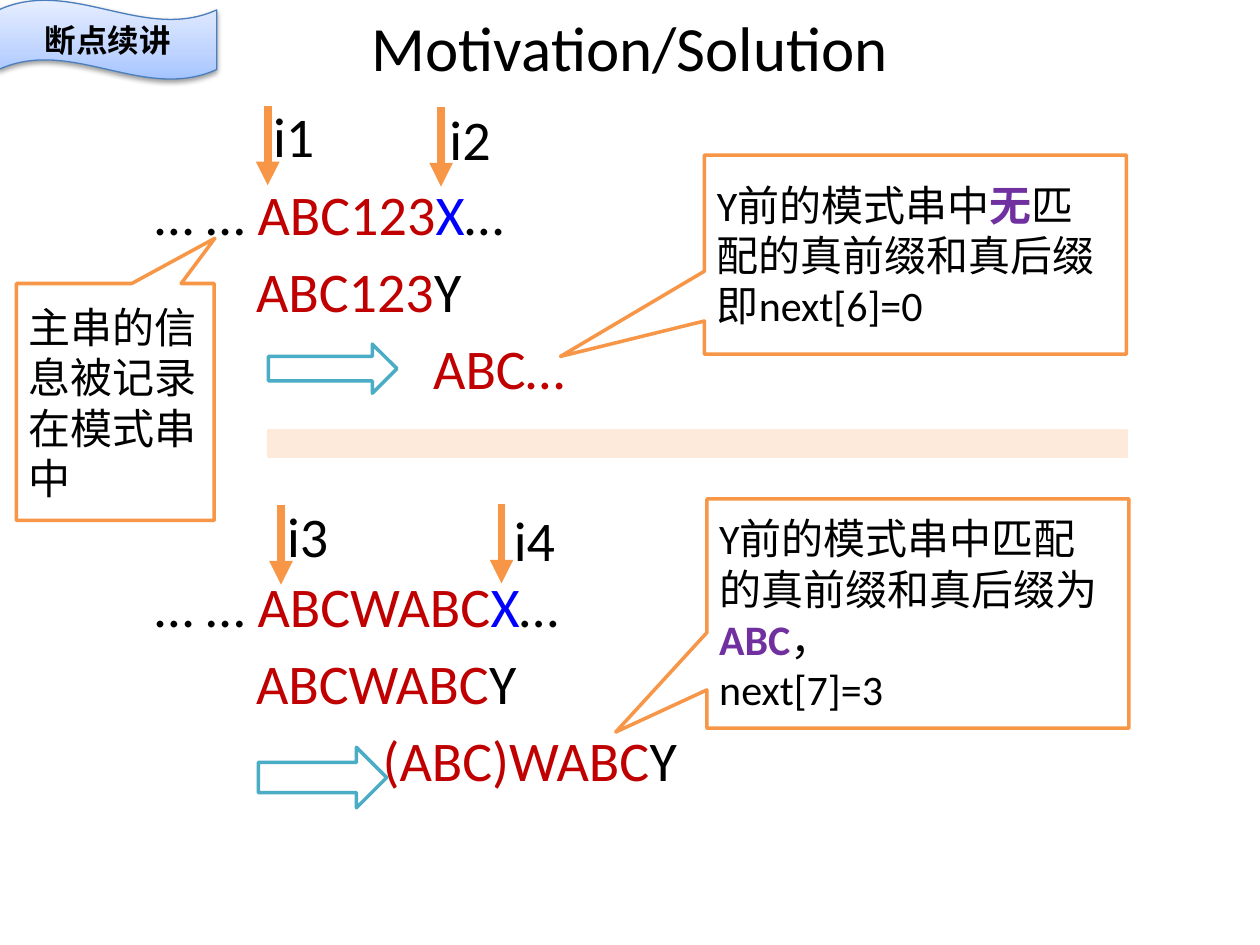
"""Build the Motivation/Solution slide on string matching shifts."""
from copy import deepcopy

from lxml import etree
from pptx import Presentation, util as u
from pptx.dml import color as dml
from pptx.enum import shapes as kinds, text as txt
from pptx.oxml import ns

COLORS = {
    "black": "000000", "red": "C00000", "blue": "0000FF", "purple": "7030A0",
    "white": "FFFFFF", "orange": "F79646", "teal": "4BACC6", "peach": "FDEADA",
    "edge": "4B7EBC", "deep": "A4C4FF", "mid": "BFD4FF", "pale": "E6EEFF",
}
FONT = "Calibri"
SPACE = 7.23
SHAPE = kinds.MSO_SHAPE
LEFT, CENTER = txt.PP_ALIGN.LEFT, txt.PP_ALIGN.CENTER
TOP, MIDDLE = txt.MSO_ANCHOR.TOP, txt.MSO_ANCHOR.MIDDLE

TITLE = [[("Motivation/Solution", "black")]]
BADGE = [[("断点续讲", "black", True)]]

POINTERS = [
    ("i1", (153, 60.5), (149, 54.7)),
    ("i2", (252, 61.2), (249.8, 56.2)),
    ("i3", (160.6, 288.7), (157, 283)),
    ("i4", (286.6, 288), (286.6, 285.1)),
]
POINTER_LENGTH = 45.4

SHIFTS = [(153.4, 196.6, 73.4, 28.1), (147.6, 427, 73.4, 34.6)]
DIVIDER = (153.4, 246.2, 490.3, 14.4)

CALLOUTS = [
    ((402.5, 88.6, 241.2, 113.8), (-0.841, 0.511),
     [[("Y前的模式串中", "black"), ("无", "purple", True),
       ("匹配的真前缀和真后缀即next[6]=0", "black")]]),
    ((403.9, 285.1, 241.2, 131), (-0.716, 0.517),
     [[("Y前的模式串中匹配的真前缀和真后缀为", "black"), ("ABC", "purple", True),
       ("，", "black")],
      [("next[7]=3", "black")]]),
    ((9.4, 162, 113, 135.4), (0.504, -0.691),
     [[("主串的信息被记录在模式串中", "black")]]),
]

PATTERNS = [
    (98.8, [
        (0, [("… … ", "black"), ("ABC123", "red"), ("X", "blue"), ("…", "black")]),
        (8, [("ABC123", "red"), ("Y", "black")]),
        (22, [("ABC…", "red")]),
    ]),
    (322.8, [
        (0, [("… … ", "black"), ("ABCWABC", "red"), ("X", "blue"), ("…", "black")]),
        (8, [("ABCWABC", "red"), ("Y", "black")]),
        (18, [("(ABC)WABC", "red"), ("Y", "black")]),
    ]),
]


def rgb(name):
    return dml.RGBColor.from_string(COLORS[name])


def points(values):
    return [u.Pt(value) for value in values]


def assign(target, **values):
    for name, value in values.items():
        setattr(target, name, value)


def write(shape, paragraphs, size, align=LEFT, anchor=MIDDLE, wrap=True, indents=(), gap=0):
    frame = shape.text_frame
    assign(frame, word_wrap=wrap, vertical_anchor=anchor)
    for index, runs in enumerate(paragraphs):
        paragraph = frame.add_paragraph() if index else frame.paragraphs[0]
        assign(paragraph, alignment=align, space_after=u.Pt(gap))
        if indents:
            margin = u.Pt(indents[index] * SPACE)
            paragraph._p.get_or_add_pPr().set("marL", str(margin))
        for words, color, *bold in runs:
            run = paragraph.add_run()
            run.text = words
            assign(run.font, name=FONT, size=u.Pt(size), bold=bool(bold))
            run.font.color.rgb = rgb(color)


def add_text(slide, box, paragraphs, size, **layout):
    write(slide.shapes.add_textbox(*points(box)), paragraphs, size, **layout)


def add_shape(slide, kind, box, line, weight=2, fill="white"):
    shape = slide.shapes.add_shape(kind, *points(box))
    shape.shadow.inherit = False
    shape.fill.solid()
    shape.fill.fore_color.rgb = rgb(fill)
    shape.line.color.rgb = rgb(line)
    shape.line.width = u.Pt(weight)
    return shape


def add_pointer(slide, label, start, corner):
    x, y = start
    arrow = slide.shapes.add_connector(
        kinds.MSO_CONNECTOR.STRAIGHT, *points((x, y, x, y + POINTER_LENGTH)))
    arrow.line.color.rgb = rgb("orange")
    arrow.line.width = u.Pt(4.5)
    etree.SubElement(arrow.line._get_or_add_ln(), ns.qn("a:tailEnd"), type="triangle")
    etree.SubElement(arrow._element.spPr, ns.qn("a:effectLst"))
    add_text(slide, (*corner, 38.2, 46.1), [[(label, "black")]], 32, anchor=TOP, wrap=False)


def add_badge(slide):
    badge = add_shape(slide, SHAPE.WAVE, (-0.7, 0, 124.6, 45.4), "edge", 0.75)
    badge.fill.gradient()
    badge.fill.gradient_angle = 90
    first = badge.fill.gradient_stops[0]._gs
    first.addnext(deepcopy(first))
    for stop, (position, color) in zip(
            badge.fill.gradient_stops, [(0, "deep"), (0.35, "mid"), (1, "pale")]):
        stop.position = position
        stop.color.rgb = rgb(color)
    effects = badge._element.spPr.find(ns.qn("a:effectLst"))
    shadow = etree.SubElement(
        effects, ns.qn("a:outerShdw"), blurRad=str(u.Pt(3.1)), dist=str(u.Pt(1.6)),
        dir="5400000", rotWithShape="0")
    tint = etree.SubElement(shadow, ns.qn("a:srgbClr"), val=COLORS["black"])
    etree.SubElement(tint, ns.qn("a:alpha"), val="38000")
    write(badge, BADGE, 18, align=CENTER)


def main():
    deck = Presentation()
    assign(deck, slide_width=u.Pt(720), slide_height=u.Pt(540))
    slide = deck.slides.add_slide(deck.slide_layouts[6])
    for pointer in POINTERS:
        add_pointer(slide, *pointer)
    for box in SHIFTS:
        add_shape(slide, SHAPE.RIGHT_ARROW, box, "teal")
    add_shape(slide, SHAPE.FLOWCHART_PROCESS, DIVIDER, "peach", fill="peach")
    for box, tip, paragraphs in CALLOUTS:
        callout = add_shape(slide, SHAPE.RECTANGULAR_CALLOUT, box, "orange")
        for index, value in enumerate(tip):
            callout.adjustments[index] = value
        write(callout, paragraphs, 24)
    add_text(slide, (36, -2.2, 648, 56.9), TITLE, 36, align=CENTER)
    for top, rows in PATTERNS:
        indents, lines = zip(*rows)
        add_text(slide, (81.4, top, 581, 142), lines, 32, anchor=TOP, indents=indents, gap=5.75)
    add_badge(slide)
    deck.save("out.pptx")


if __name__ == "__main__":
    main()
